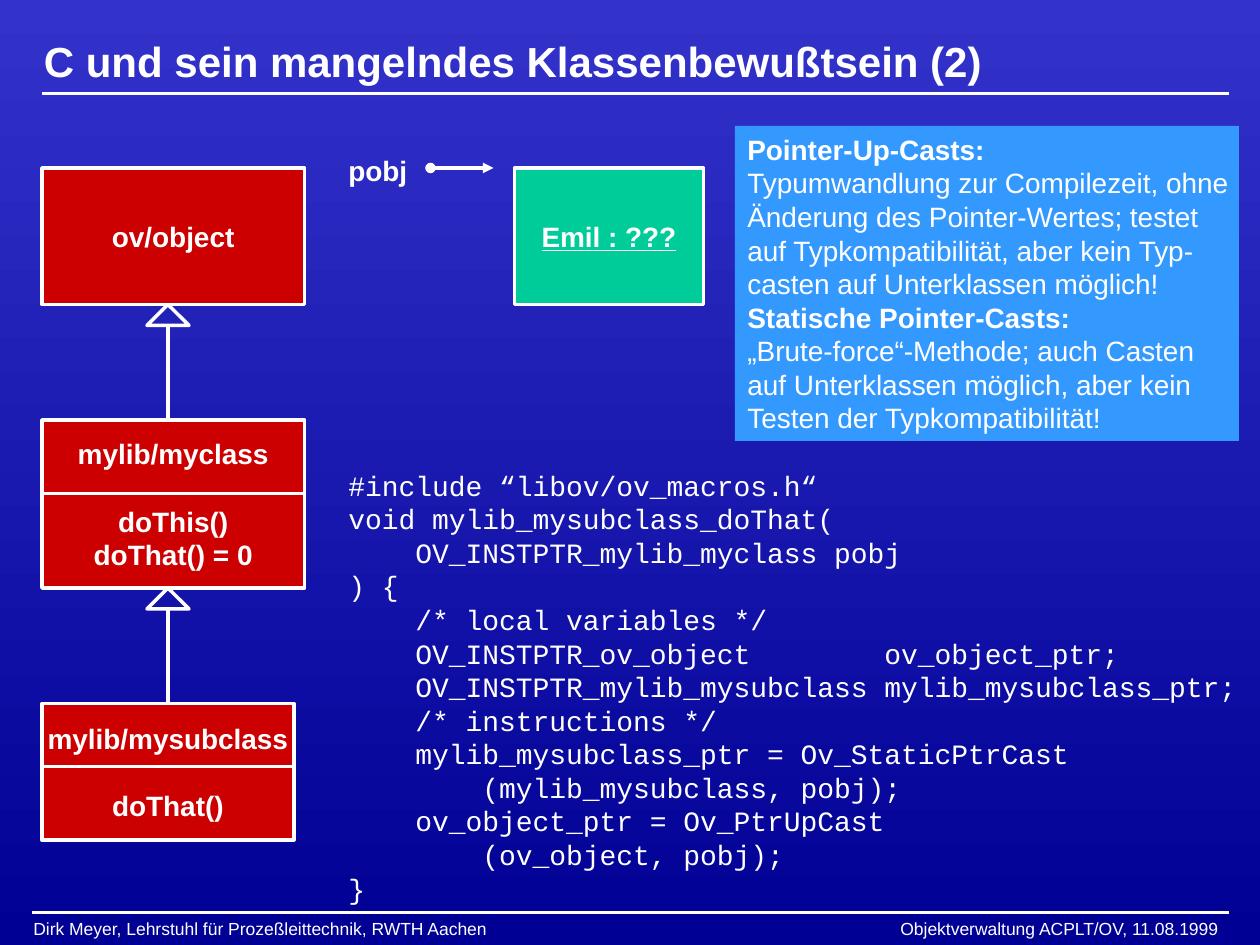
from pptx import Presentation
from pptx.dml.color import RGBColor
from pptx.enum.shapes import MSO_CONNECTOR as LINE, MSO_SHAPE as SHAPE
from pptx.enum.text import MSO_ANCHOR as ANCHOR, PP_ALIGN as ALIGN
from pptx.oxml.ns import qn
from pptx.util import Pt
from lxml.etree import SubElement

WHITE = RGBColor(0xFF, 0xFF, 0xFF)
RED = RGBColor(0xCC, 0x00, 0x00)
GREEN = RGBColor(0x00, 0xCC, 0x99)
SKY = RGBColor(0x33, 0x99, 0xFF)
TOP_BLUE = RGBColor(0x33, 0x33, 0xCC)
LOW_BLUE = RGBColor(0x00, 0x00, 0x94)

SANS, MONO = "Arial", "Courier New"
PITCH = 19.2  # line pitch of the 16 pt text

TITLE = "C und sein mangelndes Klassenbewußtsein (2)"
FOOT = [
    ("Dirk Meyer, Lehrstuhl für Prozeßleittechnik, RWTH Aachen", 12, ALIGN.LEFT),
    ("Objektverwaltung ACPLT/OV, 11.08.1999", 403, ALIGN.RIGHT),
]
# class name, methods, top, width, height, offset of the divider
CLASSES = [
    ("ov/object", [], 96, 150, 78, None),
    ("mylib/myclass", ["doThis()", "doThat() = 0"], 240, 150, 96, 42),
    ("mylib/mysubclass", ["doThat()"], 402, 144, 78, 36),
]
CLASS_X, TREE_X = 24, 96
HEAD_W, HEAD_H = 24, 12

CASTS = [
    ("Pointer-Up-Casts:", [
        "Typumwandlung zur Compilezeit, ohne",
        "Änderung des Pointer-Wertes; testet",
        "auf Typkompatibilität, aber kein Typ-",
        "casten auf Unterklassen möglich!",
    ]),
    ("Statische Pointer-Casts:", [
        "„Brute-force“-Methode; auch Casten",
        "auf Unterklassen möglich, aber kein",
        "Testen der Typkompatibilität!",
    ]),
]
CODE = """#include “libov/ov_macros.h“
void mylib_mysubclass_doThat(
    OV_INSTPTR_mylib_myclass pobj
) {
    /* local variables */
    OV_INSTPTR_ov_object        ov_object_ptr;
    OV_INSTPTR_mylib_mysubclass mylib_mysubclass_ptr;
    /* instructions */
    mylib_mysubclass_ptr = Ov_StaticPtrCast
        (mylib_mysubclass, pobj);
    ov_object_ptr = Ov_PtrUpCast
        (ov_object, pobj);
}"""

deck = Presentation()
deck.slide_width, deck.slide_height = Pt(720), Pt(540)
slide = deck.slides.add_slide(deck.slide_layouts[6])
shapes = slide.shapes


def write(shape, text, size=16, font=SANS, bold=False, align=ALIGN.LEFT,
          anchor=ANCHOR.TOP, wrap=False, pitch=None):
    frame = shape.text_frame
    frame.text = text
    frame.word_wrap = wrap
    frame.vertical_anchor = anchor
    for para in frame.paragraphs:
        para.alignment = align
        if pitch:
            para.line_spacing = Pt(pitch)
        for run in para.runs:
            run.font.name, run.font.size = font, Pt(size)
            run.font.bold = bold
            run.font.color.rgb = WHITE
    return frame


def add_text(text, x, y, w, h, **style):
    return write(shapes.add_textbox(Pt(x), Pt(y), Pt(w), Pt(h)), text, **style)


def add_box(x, y, w, h, fill=None, edge=True, kind=SHAPE.RECTANGLE):
    box = shapes.add_shape(kind, Pt(x), Pt(y), Pt(w), Pt(h))
    box.shadow.inherit = False
    if fill is None:
        box.fill.background()
    else:
        box.fill.solid()
        box.fill.fore_color.rgb = fill
    if edge:
        box.line.color.rgb, box.line.width = WHITE, Pt(2)
    else:
        box.line.fill.background()
    return box


def add_line(x1, y1, x2, y2):
    line = shapes.add_connector(LINE.STRAIGHT, Pt(x1), Pt(y1), Pt(x2), Pt(y2))
    line.line.color.rgb, line.line.width = WHITE, Pt(2)
    SubElement(line._element.spPr, qn("a:effectLst"))
    return line


# Background, title and footer
fill = slide.background.fill
fill.gradient()
fill.gradient_angle = 270
for stop, color, place in zip(fill.gradient_stops, (TOP_BLUE, LOW_BLUE), (0, 1)):
    stop.color.rgb, stop.position = color, place

add_line(24, 53.5, 702, 53.5)
add_line(18, 521.5, 702, 521.5)
add_text(TITLE, 18, 17.5, 684, 34.5, size=24, bold=True, anchor=ANCHOR.MIDDLE,
         wrap=True)
for text, x, align in FOOT:
    add_text(text, x, 520.8, 300, 19, size=10, align=align, wrap=True)

# Class tree: each class points up to the one above it
label = dict(bold=True, align=ALIGN.CENTER, anchor=ANCHOR.MIDDLE, pitch=PITCH)
above = None
for name, methods, y, w, h, split in CLASSES:
    box = add_box(CLASS_X, y, w, h, RED)
    frame = write(box, "\n".join([name] + methods), **label)
    if methods:
        frame.paragraphs[1].space_before = Pt(PITCH)
        add_line(CLASS_X, y + split, CLASS_X + w, y + split)
    if above is not None:
        add_box(TREE_X - HEAD_W / 2, above, HEAD_W, HEAD_H,
                kind=SHAPE.ISOSCELES_TRIANGLE)
        shaft = add_line(TREE_X, y, TREE_X, above + HEAD_H)
        if CLASS_X + w / 2 == TREE_X:
            shaft.begin_connect(box, 0)
    above = y + h

# Pointer and its object
frame = write(add_box(294, 96, 108, 78, GREEN), "Emil : ???", **label)
frame.paragraphs[0].runs[0].font.underline = True
add_text("pobj", 192, 84, 48, 26.5, bold=True, pitch=PITCH)
arrow = add_line(246, 96, 282, 96)
ends = arrow.line._get_or_add_ln()
SubElement(ends, qn("a:headEnd"), type="oval")
SubElement(ends, qn("a:tailEnd"), type="triangle")

# Code and explanation
add_text(CODE, 192, 264, 528, 257, font=MONO, wrap=True, pitch=PITCH)
lines = [line for head, body in CASTS for line in [head] + body]
frame = write(add_box(420, 72, 288, 180, SKY, edge=False), "\n".join(lines),
              anchor=ANCHOR.MIDDLE, pitch=PITCH)
heads = [head for head, body in CASTS]
for para in frame.paragraphs:
    para.runs[0].font.bold = para.text in heads

deck.save("out.pptx")
